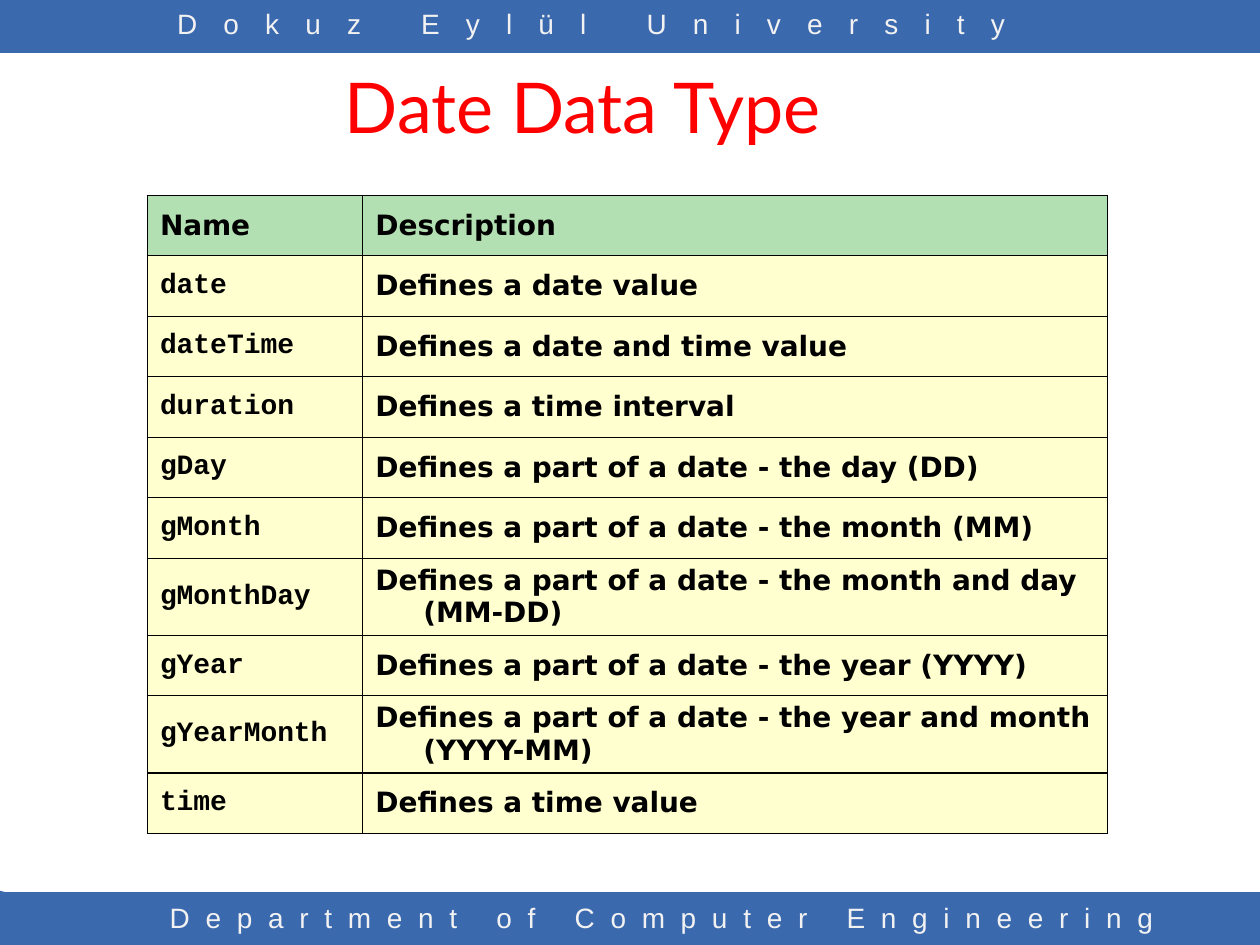
from lxml.etree import SubElement as add_node
from pptx import Presentation
from pptx.dml.color import RGBColor as Color
from pptx.enum.shapes import MSO_SHAPE as Shape
from pptx.enum.text import MSO_ANCHOR as Anchor, PP_ALIGN as Align
from pptx.oxml.ns import qn
from pptx.util import Inches, Pt

COLORS = {"band": "3B69AE", "band_text": "F2F2F2", "title": "FF0000", "ink": "000000",
          "header": "009900", "body": "FFFF66"}
WIDTH, HEIGHT, BAND = 10, 7.5, 0.42
TITLE = "Date Data Type"
BANDS = [
    ("Dokuz Eylül University", 0, (0.65, 0, 8.09, BAND), 15),
    ("Department of Computer Engineering", HEIGHT - BAND, (0.92, 7.1, 8.67, 0.4), 9),
]
CORNERS = [
    [(0.88, 7.09), (0.92, 7.09), (0.92, 7.5), (0.47, 7.5)],
    [(0.04, 7.08), (0.46, 7.5), (0, 7.5), (0, 7.07)],
]
ROWS = [
    ("Name", "Description"),
    ("date", "Defines a date value"),
    ("dateTime", "Defines a date and time value"),
    ("duration", "Defines a time interval"),
    ("gDay", "Defines a part of a date - the day (DD)"),
    ("gMonth", "Defines a part of a date - the month (MM)"),
    ("gMonthDay", "Defines a part of a date - the month and day (MM-DD)"),
    ("gYear", "Defines a part of a date - the year (YYYY)"),
    ("gYearMonth", "Defines a part of a date - the year and month (YYYY-MM)"),
    ("time", "Defines a time value"),
]
TABLE_LEFT, TABLE_TOP, ROW_HEIGHT = 1.17, 1.55, 0.48
COLUMNS = [1.71, 5.91]
INDENT, CELL_MARGIN = 0.38, 0.04


def paint(shape):
    shape.shadow.inherit = False
    shape.fill.solid()
    shape.fill.fore_color.rgb = Color.from_string(COLORS["band"])
    shape.line.fill.background()


def write(para, text, size, font, color, bold=False):
    span = para.add_run()
    span.text = text
    span.font.size = Pt(size)
    span.font.name = font
    span.font.bold = bold
    span.font.color.rgb = Color.from_string(COLORS[color])
    return span


def add_text(place, text, size, font, color, spacing=0):
    box = slide.shapes.add_textbox(*map(Inches, place))
    frame = box.text_frame
    frame.word_wrap = True
    frame.vertical_anchor = Anchor.MIDDLE if size > 20 else Anchor.TOP
    para = frame.paragraphs[0]
    para.alignment = Align.CENTER
    span = write(para, text, size, font, color)
    if spacing:
        span.font._element.set("spc", str(spacing * 100))


def style_cell(cell, text, font, fill):
    cell.vertical_anchor = Anchor.MIDDLE
    cell.margin_top = cell.margin_bottom = Inches(CELL_MARGIN)
    para = cell.text_frame.paragraphs[0]
    write(para, text, 16, font, "ink", True)
    para_props = para._p.get_or_add_pPr()
    para_props.set("marL", str(Inches(INDENT)))
    para_props.set("indent", str(-Inches(INDENT)))
    cell_props = cell._tc.get_or_add_tcPr()
    for side in ("lnL", "lnR", "lnT", "lnB"):
        line = add_node(cell_props, qn("a:" + side), w=str(Pt(0.75)))
        solid = add_node(line, qn("a:solidFill"))
        add_node(solid, qn("a:srgbClr"), val=COLORS["ink"])
    cell.fill.solid()
    cell.fill.fore_color.rgb = Color.from_string(COLORS[fill])
    tint = cell_props.find(qn("a:solidFill")).find(qn("a:srgbClr"))
    add_node(tint, qn("a:alpha"), val="30000")


deck = Presentation()
deck.slide_width, deck.slide_height = Inches(WIDTH), Inches(HEIGHT)
slide = deck.slides.add_slide(deck.slide_layouts[6])

for _, top, _, _ in BANDS:
    paint(slide.shapes.add_shape(Shape.RECTANGLE, 0, Inches(top), Inches(WIDTH), Inches(BAND)))
for corner in CORNERS:
    start, *points = [(Inches(x), Inches(y)) for x, y in corner]
    outline = slide.shapes.build_freeform(*start)
    outline.add_line_segments(points, close=True)
    paint(outline.convert_to_shape())
for text, _, place, spacing in BANDS:
    add_text(place, text, 16, "Arial", "band_text", spacing)
add_text((0.5, 0.13, 8.25, 1.42), TITLE, 40, "Lato", "title")

table = slide.shapes.add_table(
    len(ROWS), len(COLUMNS), Inches(TABLE_LEFT), Inches(TABLE_TOP),
    Inches(sum(COLUMNS)), Inches(ROW_HEIGHT * len(ROWS))).table
for column, width in zip(table.columns, COLUMNS):
    column.width = Inches(width)
for row, texts in enumerate(ROWS):
    table.rows[row].height = Inches(ROW_HEIGHT)
    for col, text in enumerate(texts):
        font = "Courier New" if row and col == 0 else "DejaVu Sans"
        style_cell(table.cell(row, col), text, font, "body" if row else "header")

deck.save("out.pptx")
